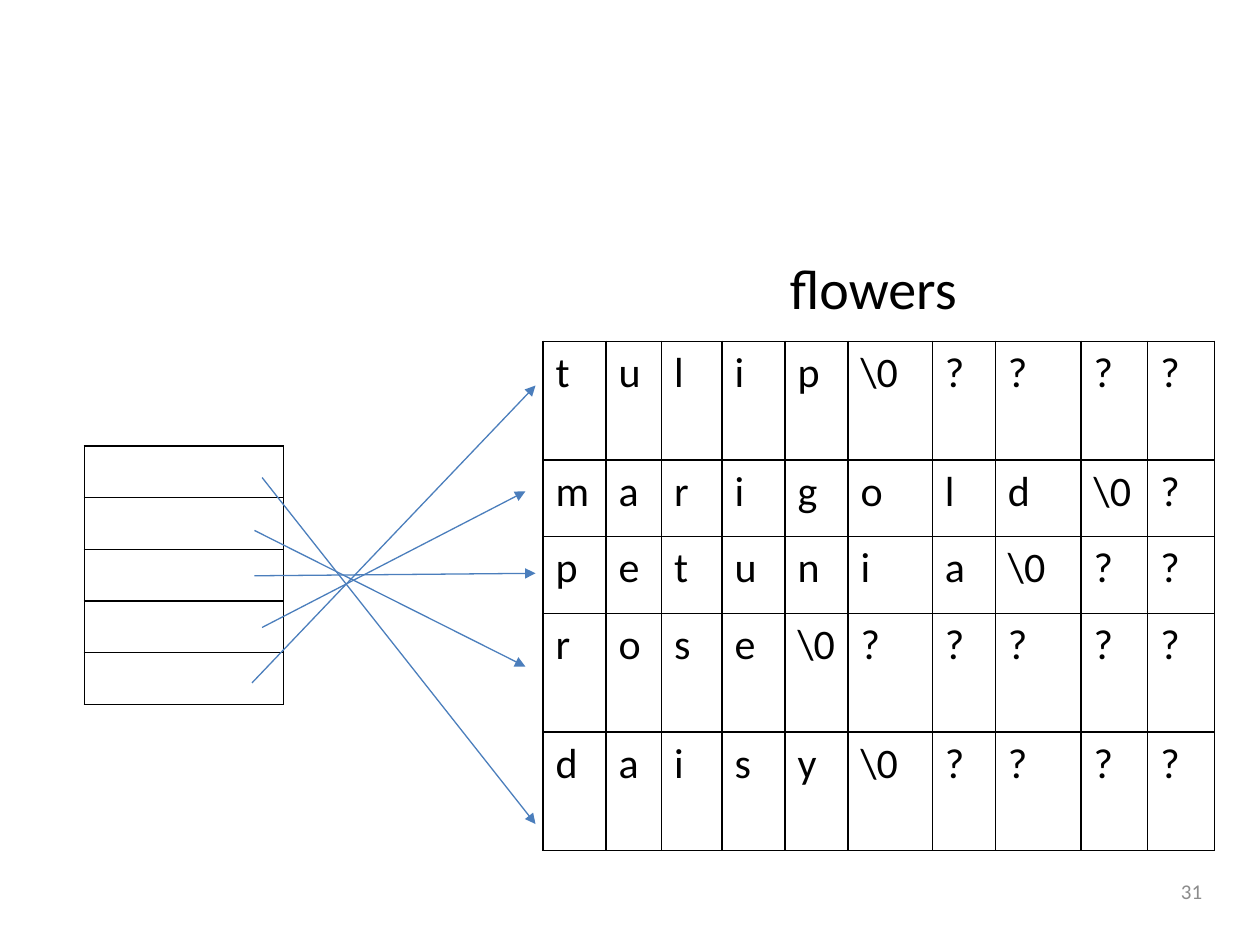
import pptx
import pptx.util
import pptx.dml.color
import pptx.enum.shapes
import pptx.enum.text
import pptx.oxml.ns
import lxml.etree

Inches = pptx.util.Inches
Align = pptx.enum.text.PP_ALIGN
Anchor = pptx.enum.text.MSO_ANCHOR

THEME = {
    "font": "Calibri", "ink": "000000", "muted": "8C8C8C", "arrow": "4B7EBC",
    "title_size": 32, "letter_size": 24, "number_size": 12,
    "border_width": 1, "arrow_width": 0.75,
}

TITLE = "flowers"
PAGE_NUMBER = "31"
FLOWERS = ["tulip", "marigold", "petunia", "rose", "daisy"]
LETTER_COLUMNS = [0.5, 0.44, 0.48, 0.5, 0.5, 0.67, 0.5, 0.68, 0.53, 0.53]
LETTER_ROWS = [0.94, 0.61, 0.61, 0.94, 0.94]
POINTER_COLUMNS = [1.58]
POINTER_ROWS = [0.41] * len(FLOWERS)
POINTERS = [
    ((2.08, 3.79), (4.25, 6.54)),
    ((2.02, 4.21), (4.17, 5.29)),
    ((2.02, 4.57), (4.25, 4.55)),
    ((2.08, 4.98), (4.17, 3.9)),
    ((2, 5.42), (4.25, 3.06)),
]


def letters_of(word):
    filled = [*word, "\\0"]
    return filled + ["?"] * (len(LETTER_COLUMNS) - len(filled))


def add_span(para, text, size, color):
    span = para.add_run()
    span.text = text
    span.font.name = THEME["font"]
    span.font.size = pptx.util.Pt(size)
    span.font.color.rgb = pptx.dml.color.RGBColor.from_string(color)


def add_label(page, place, text, size, color, align, anchor):
    box = page.shapes.add_textbox(*map(Inches, place))
    frame = box.text_frame
    frame.word_wrap = True
    frame.vertical_anchor = anchor
    para = frame.paragraphs[0]
    para.alignment = align
    add_span(para, text, size, color)


def add_borders(cell):
    properties = cell._tc.get_or_add_tcPr()
    qn = pptx.oxml.ns.qn
    for side in ("a:lnL", "a:lnR", "a:lnT", "a:lnB"):
        width = str(int(pptx.util.Pt(THEME["border_width"])))
        border = lxml.etree.SubElement(properties, qn(side), w=width)
        fill = lxml.etree.SubElement(border, qn("a:solidFill"))
        lxml.etree.SubElement(fill, qn("a:srgbClr"), val=THEME["ink"])


def add_grid(page, left, top, columns, rows, texts):
    place = map(Inches, (left, top, sum(columns), sum(rows)))
    grid = page.shapes.add_table(len(rows), len(columns), *place).table
    grid.first_row = False
    grid.horz_banding = False
    for column, width in zip(grid.columns, columns):
        column.width = Inches(width)
    for row, height, words in zip(grid.rows, rows, texts):
        row.height = Inches(height)
        for cell, text in zip(row.cells, words):
            add_borders(cell)
            cell.fill.background()
            if text:
                para = cell.text_frame.paragraphs[0]
                add_span(para, text, THEME["letter_size"], THEME["ink"])


def add_arrow(page, start, end):
    arrow = page.shapes.add_connector(
        pptx.enum.shapes.MSO_CONNECTOR.STRAIGHT, *map(Inches, start + end))
    arrow.line.color.rgb = pptx.dml.color.RGBColor.from_string(THEME["arrow"])
    arrow.line.width = pptx.util.Pt(THEME["arrow_width"])
    qn = pptx.oxml.ns.qn
    lxml.etree.SubElement(arrow.line._get_or_add_ln(), qn("a:tailEnd"), type="triangle")
    lxml.etree.SubElement(arrow._element.spPr, qn("a:effectLst"))


def main():
    deck = pptx.Presentation()
    deck.slide_width, deck.slide_height = Inches(10), Inches(7.5)
    page = deck.slides.add_slide(deck.slide_layouts[6])
    add_label(page, (7.31, 6.87, 2.33, 0.4), PAGE_NUMBER,
              THEME["number_size"], THEME["muted"], Align.RIGHT, Anchor.MIDDLE)
    add_grid(page, 4.31, 2.71, LETTER_COLUMNS, LETTER_ROWS, map(letters_of, FLOWERS))
    add_label(page, (6.17, 1.96, 2, 0.64), TITLE,
              THEME["title_size"], THEME["ink"], Align.LEFT, Anchor.TOP)
    add_grid(page, 0.67, 3.54, POINTER_COLUMNS, POINTER_ROWS, [[""]] * len(FLOWERS))
    for start, end in POINTERS:
        add_arrow(page, start, end)
    deck.save("out.pptx")


if __name__ == "__main__":
    main()
